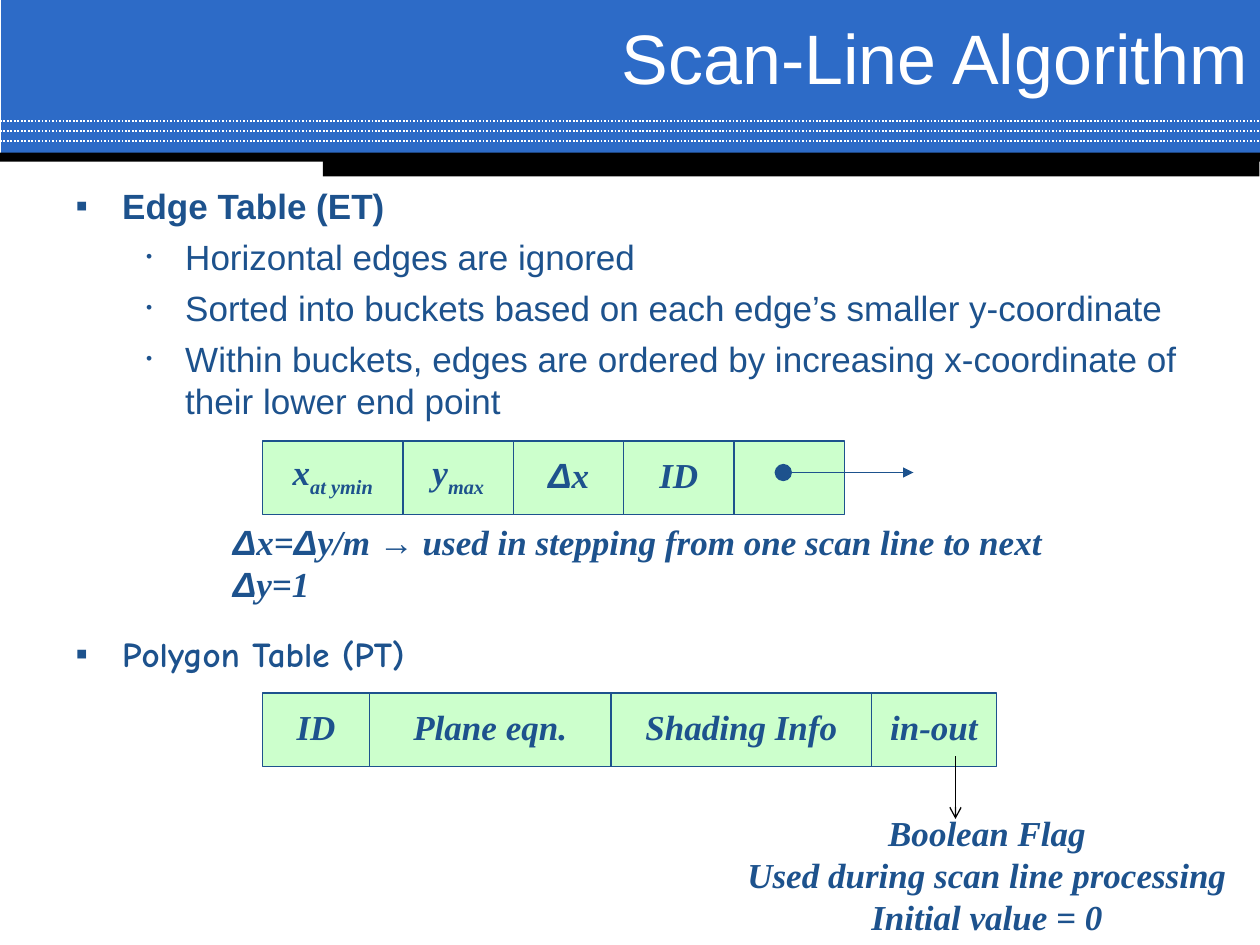
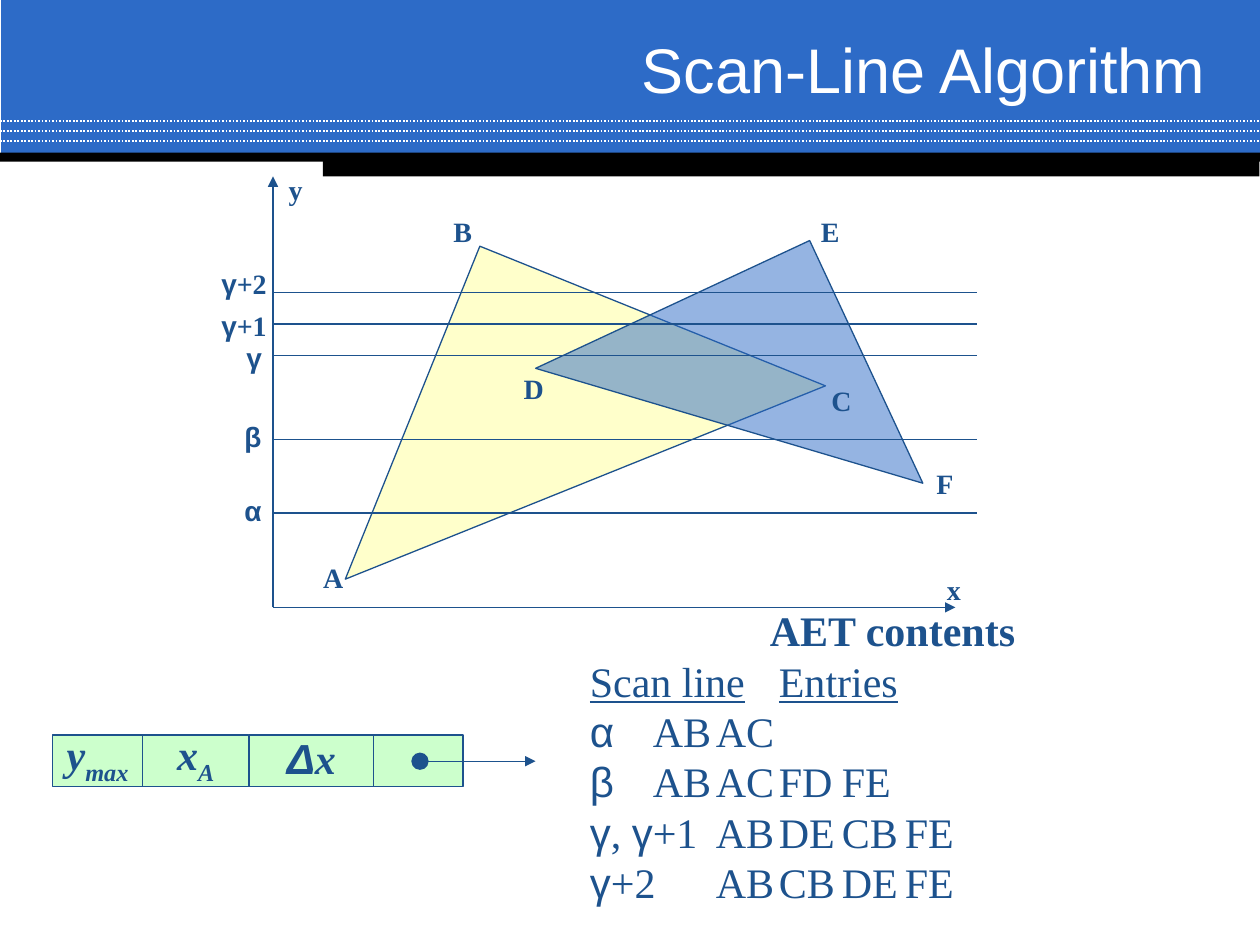
from dataclasses import dataclass
from itertools import accumulate, groupby
from typing import Any, NamedTuple, Optional

from lxml.etree import SubElement
from pptx import Presentation
from pptx.dml.color import RGBColor
from pptx.enum.dml import MSO_LINE
from pptx.enum.shapes import MSO_CONNECTOR, MSO_SHAPE as Shape
from pptx.enum.text import MSO_ANCHOR as Anchor, MSO_AUTO_SIZE as AutoSize, PP_ALIGN as Align
from pptx.oxml.ns import qn
from pptx.util import Emu, Inches, Pt

# The slide is a grid of 120 columns by 90 rows, twelve to the inch
COLUMNS, ROWS = 120, 90
NAVY, BLUE, GREEN, YELLOW = "1D528D", "2D6BC7", "CCFFCC", "FFFF99"
WHITE, BLACK = "FFFFFF", "000000"
SANS, SERIF, COMIC = "Arial", "Times New Roman", "Comic Neue"
SYMBOLS = "Δαβγ→"


class Box(NamedTuple):
    left: float
    top: float
    width: float
    height: float


class Point(NamedTuple):
    column: float
    row: float


@dataclass
class Record:
    """A row of labelled fields; an empty label holds the pointer."""
    left: float
    top: float
    height: float
    size: int
    fields: list[tuple[str, float]]
    pointer: Optional[tuple[Point, Point]] = None


@dataclass
class Bullet:
    char: str
    margin: float
    hang: float
    percent: int


BULLETS = [Bullet("▪", 0.37, 0.37, 100), Bullet("•", 0.87, 0.31, 50)]
FORMULA = {"bold": True, "italic": True}


def grid(cells: float) -> Emu:
    return Emu(round(cells * Inches(1) / 12))


def paint(target: Any, colour: str) -> None:
    """Give a fill, a line or a font its colour."""
    if hasattr(target, "solid"):
        target.solid()
        target.fore_color.rgb = RGBColor.from_string(colour)
    elif hasattr(target, "color"):
        target.color.rgb = RGBColor.from_string(colour)


def place(shape: Any, box: Box) -> None:
    for side, cells in box._asdict().items():
        setattr(shape, side, grid(cells))


def configure(target: Any, values: dict[str, Any]) -> None:
    for attribute, value in values.items():
        setattr(target, attribute, value)


def write(paragraph: Any, text: str, size: int, font: str = SERIF,
          colour: str = NAVY, **style: Any) -> None:
    """Write text with symbols in the sans font and a subscript after a bar."""
    for level, part in enumerate(text.split("|")):
        for symbolic, letters in groupby(part, lambda letter: letter in SYMBOLS):
            run = paragraph.add_run()
            run.text = "".join(letters)
            configure(run.font, {"name": SANS if symbolic else font,
                                 "size": Pt(size), **style})
            paint(run.font, colour)
            if level:
                run.font._element.set("baseline", "-25000")


def paragraphs(frame: Any, count: int) -> list[Any]:
    return [frame.paragraphs[0]] + [frame.add_paragraph() for _ in range(count - 1)]


def add_text(slide: Any, box: Box, lines: list[str], size: int, align: Align = Align.LEFT,
             wrap: bool = True, **style: Any) -> None:
    frame = slide.shapes.add_textbox(*map(grid, box)).text_frame
    frame.word_wrap = wrap
    for paragraph, line in zip(paragraphs(frame, len(lines)), lines):
        paragraph.alignment = align
        write(paragraph, line, size, **style)


def add_preset(slide: Any, preset: Shape, box: Box, fill: str, outline: Optional[str] = None,
               rotation: float = 0, opacity: int = 100) -> Any:
    shape = slide.shapes.add_shape(preset, *map(grid, box))
    shape.shadow.inherit = False
    shape.rotation = rotation
    paint(shape.fill, fill)
    if opacity < 100:
        colour = shape._element.spPr.find(qn("a:solidFill"))[0]
        SubElement(colour, qn("a:alpha"), val=str(opacity * 1000))
    if outline:
        paint(shape.line, outline)
        shape.line.width = Pt(0.75)
    else:
        shape.line.fill.background()
    return shape


def add_line(slide: Any, start: Point, end: Point, colour: str = NAVY, width: float = 0.75,
             head: str = "", tail: str = "", dash: Optional[MSO_LINE] = None) -> Any:
    line = slide.shapes.add_connector(MSO_CONNECTOR.STRAIGHT, *map(grid, (*start, *end)))
    paint(line.line, colour)
    line.line.width = Pt(width)
    if dash:
        line.line.dash_style = dash
    properties = line._element.spPr
    outline = properties.find(qn("a:ln"))
    if head:
        SubElement(outline, qn("a:headEnd"), type=head, w="lg", len="lg")
    if tail:
        SubElement(outline, qn("a:tailEnd"), type=tail)
    SubElement(properties, qn("a:effectLst"))
    return line


def add_record(slide: Any, record: Record) -> None:
    edges = accumulate((width for _, width in record.fields), initial=record.left)
    for (label, width), left in zip(record.fields, edges):
        field = add_preset(slide, Shape.RECTANGLE,
                           Box(left, record.top, width, record.height), GREEN, NAVY)
        if label:
            frame = field.text_frame
            configure(frame, {"word_wrap": False, "vertical_anchor": Anchor.MIDDLE,
                              "margin_top": 0, "margin_bottom": Inches(0.05)})
            frame.paragraphs[0].alignment = Align.CENTER
            write(frame.paragraphs[0], label, record.size, **FORMULA)
    if record.pointer:
        add_line(slide, *record.pointer, head="oval", tail="triangle")


def add_title(slide: Any, box: Box, size: int, anchor: Anchor) -> None:
    title = slide.shapes.title
    place(title, box)
    configure(title.text_frame, {"auto_size": AutoSize.NONE, "vertical_anchor": anchor})
    title.text_frame.paragraphs[0].alignment = Align.RIGHT
    write(title.text_frame.paragraphs[0], "Scan-Line Algorithm", size, SANS, WHITE)


def add_bullet(paragraph: Any, level: int, gap: float) -> None:
    bullet = BULLETS[level]
    configure(paragraph, {"level": level, "space_before": Pt(gap)})
    properties = paragraph._p.get_or_add_pPr()
    properties.set("marL", str(Inches(bullet.margin)))
    properties.set("indent", str(-Inches(bullet.hang)))
    SubElement(SubElement(properties, qn("a:buClr")), qn("a:srgbClr"), val=NAVY)
    SubElement(properties, qn("a:buSzPct"), val=str(bullet.percent * 1000))
    SubElement(properties, qn("a:buChar"), char=bullet.char)


def share_bands(slide: Any, master: Any) -> None:
    """Draw the header bands and move them to the master, behind everything."""
    bands = [add_preset(slide, Shape.RECTANGLE, Box(0.1, 0, 119.9, 14.75), BLUE)]
    for stripe in range(3):
        row = 11.5 + 0.95 * stripe
        bands.append(add_line(slide, Point(0, row), Point(COLUMNS, row), WHITE, 1,
                              dash=MSO_LINE.ROUND_DOT))
    for box in (Box(0, 14.55, COLUMNS, 0.85), Box(30.75, 14.85, 89.2, 1.95)):
        bands.append(add_preset(slide, Shape.RECTANGLE, box, BLACK))
    for depth, band in enumerate(bands, start=2):
        master.shapes._spTree.insert(depth, band._element)


deck = Presentation()
deck.slide_width, deck.slide_height = grid(COLUMNS), grid(ROWS)

# Slide 1: edge table and polygon table
tables = deck.slides.add_slide(deck.slide_layouts[1])
share_bands(tables, deck.slide_master)
add_title(tables, Box(22, 0.7, 98, 9.3), 40, Anchor.BOTTOM)

outline = [
    (0, "Edge Table (ET)", SANS, 5),
    (1, "Horizontal edges are ignored", SANS, 5),
    (1, "Sorted into buckets based on each edge’s smaller y-coordinate", SANS, 5),
    (1, "Within buckets, edges are ordered by increasing x-coordinate of "
        "their lower end point", SANS, 5),
    (0, "Polygon Table (PT)", COMIC, 121),
]
body = tables.placeholders[1]
place(body, Box(6, 17, 108, 66))
body.text_frame.auto_size = AutoSize.NONE
for item, (level, text, font, gap) in zip(paragraphs(body.text_frame, len(outline)), outline):
    add_bullet(item, level, gap)
    write(item, text, 20, font, bold=level == 0)

add_record(tables, Record(25, 42, 7, 20, [
    ("x|at ymin", 13.4), ("y|max", 10.5), ("Δx", 10.5), ("ID", 10.5), ("", 10.5),
], (Point(74.6, 45), Point(87, 45))))
add_record(tables, Record(25, 66, 7, 20, [
    ("ID", 10.2), ("Plane eqn.", 23), ("Shading Info", 24.8), ("in-out", 11.9),
]))
add_text(tables, Box(21, 49, 82, 9.2),
         ["Δx=Δy/m → used in stepping from one scan line to next", "Δy=1"], 20, **FORMULA)
add_text(tables, Box(68, 76.7, 52, 13.2),
         ["Boolean Flag", "Used during scan line processing", "Initial value = 0"],
         20, Align.CENTER, **FORMULA)
add_line(tables, Point(91, 72), Point(91, 78), BLACK, tail="arrow")

# Slide 2: two polygons crossed by scan lines
example = deck.slides.add_slide(deck.slide_layouts[5])
add_title(example, Box(33, 3, 83, 7), 36, Anchor.MIDDLE)
add_preset(example, Shape.RIGHT_TRIANGLE, Box(38.65, 28.2, 34.2, 35.5), YELLOW, NAVY, 112, 50)
add_preset(example, Shape.RIGHT_TRIANGLE, Box(55.05, 27.8, 28.8, 25.5), BLUE, NAVY, 155, 50)

origin = Point(26, 57.85)
for axis_end in (Point(26, 16.8), Point(91, 57.85)):
    add_line(example, origin, axis_end, tail="triangle")
for row in (48.85, 41.85, 33.85, 30.85, 27.85):
    add_line(example, Point(origin.column, row), Point(93, row))

labels = {
    "A": Point(29.6, 52.8), "B": Point(42, 19.8), "C": Point(78, 35.9),
    "F": Point(88, 43.8), "E": Point(77, 19.8), "D": Point(48.7, 34.8),
    "α": Point(22.1, 46.4), "β": Point(22.1, 39.4), "γ": Point(22.3, 31.8),
    "γ+1": Point(19.9, 28.8), "γ+2": Point(19.9, 24.8),
    "x": Point(89, 53.9), "y": Point(26.3, 15.8),
}
for label, corner in labels.items():
    width = 4.1 if len(label) == 1 else 6.7
    add_text(example, Box(*corner, width, 4.4), [label], 16, wrap=False, bold=True)

# Contents of the active edge table, aligned on half-inch tabs
entries = ["α\tAB\tAC", "β\tAB\tAC\tFD\tFE", "γ, γ+1\tAB\tDE\tCB\tFE", "γ+2\tAB\tCB\tDE\tFE"]
contents = example.shapes.add_textbox(*map(grid, Box(55, 57, 60, 30))).text_frame
contents.word_wrap = True
heading, header, *rows = paragraphs(contents, len(entries) + 2)
heading.alignment = Align.CENTER
write(heading, "AET contents", 24, bold=True)
for text, underlined in (("Scan line", True), ("\t", False), ("Entries", True)):
    write(header, text, 24, underline=underlined)
for row, entry in zip(rows, entries):
    write(row, entry, 24)
for line in (header, *rows):
    stops = SubElement(line._p.get_or_add_pPr(), qn("a:tabLst"))
    for stop in range(1, 8):
        SubElement(stops, qn("a:tab"), pos=str(Inches(stop / 2)), algn="l")

add_record(example, Record(5, 70, 4.9, 24, [
    ("y|max", 8.6), ("x|A", 10.1), ("Δx", 11.9), ("", 8.5),
], (Point(40, 72.5), Point(51, 72.5))))

deck.save("out.pptx")
